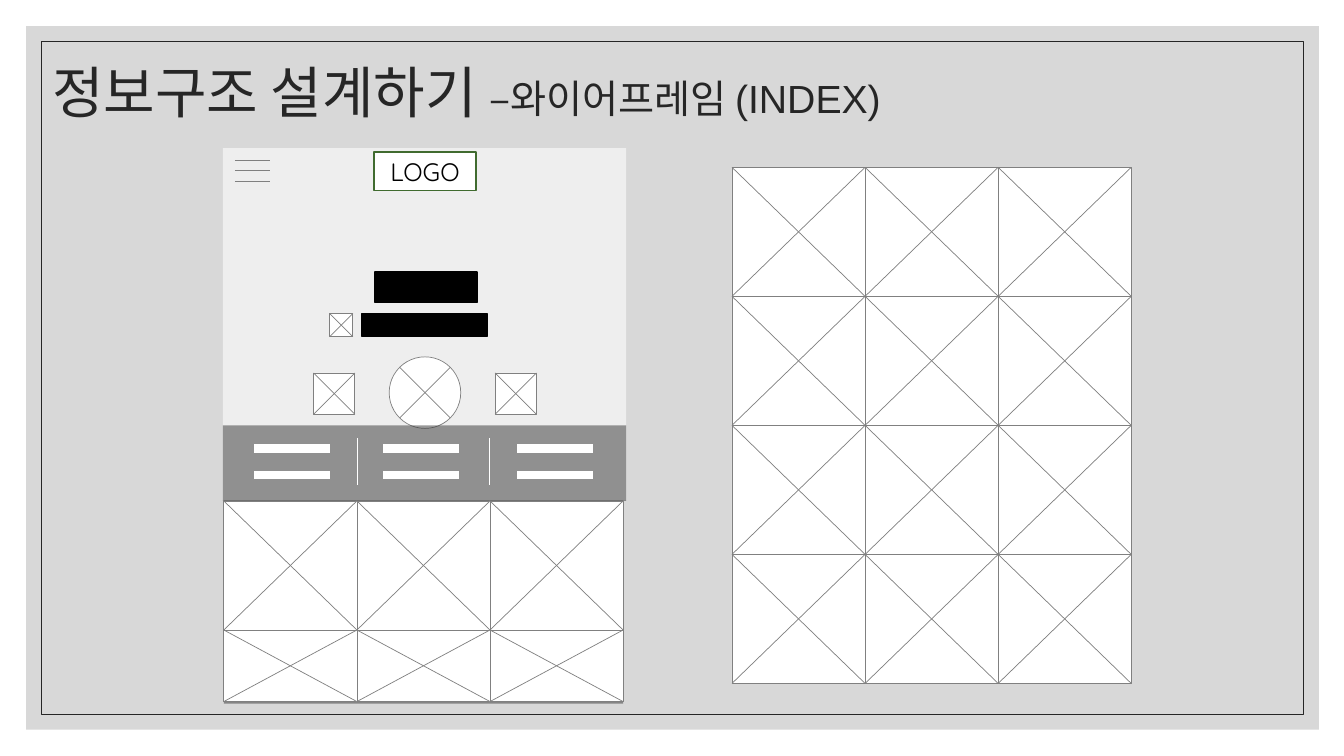
from lxml import etree
from pptx import Presentation
from pptx.dml.color import RGBColor
from pptx.enum.shapes import MSO_CONNECTOR, MSO_SHAPE as Shape
from pptx.enum.text import MSO_ANCHOR as Anchor, PP_ALIGN as Align
from pptx.oxml.ns import qn
from pptx.util import Inches, Pt

COLORS = {
    "backdrop": "BFBFBF", "ink": "262626", "shade": "333333", "screen": "EEEEEE",
    "wire": "808080", "white": "FFFFFF", "black": "000000", "logo": "406B2F",
}

# Content
TITLE = [("정보구조 설계하기 ", 40), ("–와이어프레임 (INDEX)", 28)]
LOGO_TEXT = "LOGO"

# Places in inches: left, top, width, height
BACKDROP = (0.26, 0.26, 12.82, 6.98)
FRAME = (0.41, 0.41, 12.52, 6.68)
TITLE_BOX = (0.42, 0.42, 11, 1.05)
PHONE_SHADE = (2.22, 1.47, 3.96, 5.51)
SCREEN = (2.21, 1.47, 4, 3.49)
LOGO_BOX = (3.71, 1.51, 1.01, 0.38)
PROFILE_CIRCLE = (3.86, 3.54, 0.71, 0.71)
NAME_BAR = (3.72, 2.7, 1.01, 0.3)
STATS_BAND = (2.21, 4.22, 4, 0.75)
CAPTION_BAR = (3.59, 3.11, 1.24, 0.23)
ICONS = [(3.27, 3.11, 0.23, 0.23), (3.11, 3.7, 0.41, 0.41), (4.91, 3.7, 0.41, 0.41)]

MENU_LEFT, MENU_WIDTH, MENU_ROWS = 2.33, 0.35, (1.59, 1.69, 1.8)
STAT_LEFTS, STAT_WIDTH, STAT_ROWS = (2.52, 3.8, 5.13), 0.75, (4.45, 4.71)
DIVIDERS, DIVIDER_TOP, DIVIDER_BOTTOM = (3.54, 4.85), 4.35, 4.81

# Photo grids: left, top, row heights
TILE_WIDTH, TILE_COLUMNS = 1.32, 3
GRIDS = [(2.22, 4.97, [1.28, 0.71]), (7.26, 1.66, [1.28] * 4)]

presentation = Presentation()
presentation.slide_width, presentation.slide_height = Inches(13.33), Inches(7.5)
slide = presentation.slides.add_slide(presentation.slide_layouts[6])


def color(name):
    return RGBColor.from_string(COLORS[name])


def add_box(place, fill=None, line=None, width=0.5, alpha=None, kind=Shape.RECTANGLE):
    shape = slide.shapes.add_shape(kind, *map(Inches, place))
    shape.shadow.inherit = False
    if fill:
        shape.fill.solid()
        shape.fill.fore_color.rgb = color(fill)
        if alpha:
            solid = shape.fill.fore_color._xFill.find(qn("a:srgbClr"))
            etree.SubElement(solid, qn("a:alpha")).set("val", str(alpha * 1000))
    else:
        shape.fill.background()
    if line:
        shape.line.color.rgb = color(line)
        shape.line.width = Pt(width)
    else:
        shape.line.fill.background()
    return shape


def add_line(x1, y1, x2, y2, line="wire", width=0.5):
    connector = slide.shapes.add_connector(
        MSO_CONNECTOR.STRAIGHT, *map(Inches, (x1, y1, x2, y2)))
    connector.line.color.rgb = color(line)
    connector.line.width = Pt(width)
    etree.SubElement(connector._element.spPr, qn("a:effectLst"))


def add_cross(left, top, width, height):
    right, bottom = left + width, top + height
    add_line(left, bottom, right, top)
    add_line(left, top, right, bottom)


def add_image_box(place):
    add_box(place, "white", "wire")
    add_cross(*place)


def add_run(paragraph, text, size, font, ink):
    run = paragraph.add_run()
    run.text = text
    run.font.size, run.font.name = Pt(size), font
    run.font.color.rgb = color(ink)


# Backdrop and frame
add_box(BACKDROP, "backdrop", alpha=60)
add_box(FRAME, line="ink")
add_box(PHONE_SHADE, "shade", alpha=50)

# Title
title = slide.shapes.add_textbox(*map(Inches, TITLE_BOX)).text_frame
title.word_wrap = True
title.vertical_anchor = Anchor.MIDDLE
title.paragraphs[0].line_spacing = 0.9
for text, size in TITLE:
    add_run(title.paragraphs[0], text, size, "Arial", "ink")

# Phone header: screen, menu icon, logo placeholder
add_box(SCREEN, "screen")
for y in MENU_ROWS:
    add_line(MENU_LEFT, y, MENU_LEFT + MENU_WIDTH, y)
logo = add_box(LOGO_BOX, "white", "logo", 1).text_frame
logo.vertical_anchor = Anchor.MIDDLE
logo.paragraphs[0].alignment = Align.CENTER
add_run(logo.paragraphs[0], LOGO_TEXT, 18, "Quicksand", "black")

# Profile: circle with inset cross, name, icons, caption
add_box(PROFILE_CIRCLE, "white", "wire", kind=Shape.OVAL)
circle_left, circle_top, diameter, _ = PROFILE_CIRCLE
inset = diameter * 0.146
side = diameter - 2 * inset
add_cross(circle_left + inset, circle_top + inset, side, side)
add_box(NAME_BAR, "black", "black", 1)
add_box(STATS_BAND, "shade", alpha=50)
add_box(CAPTION_BAR, "black", "black", 1)
for icon in ICONS:
    add_image_box(icon)

# Stats band: text bars and dividers
for y in STAT_ROWS:
    for x in STAT_LEFTS:
        add_line(x, y, x + STAT_WIDTH, y, "white", 6)
for x in DIVIDERS:
    add_line(x, DIVIDER_TOP, x, DIVIDER_BOTTOM, "white")

# Photo grids
for left, top, row_heights in GRIDS:
    for row, height in enumerate(row_heights):
        y = top + sum(row_heights[:row])
        for column in range(TILE_COLUMNS):
            add_image_box((left + column * TILE_WIDTH, y, TILE_WIDTH, height))

presentation.save("out.pptx")
